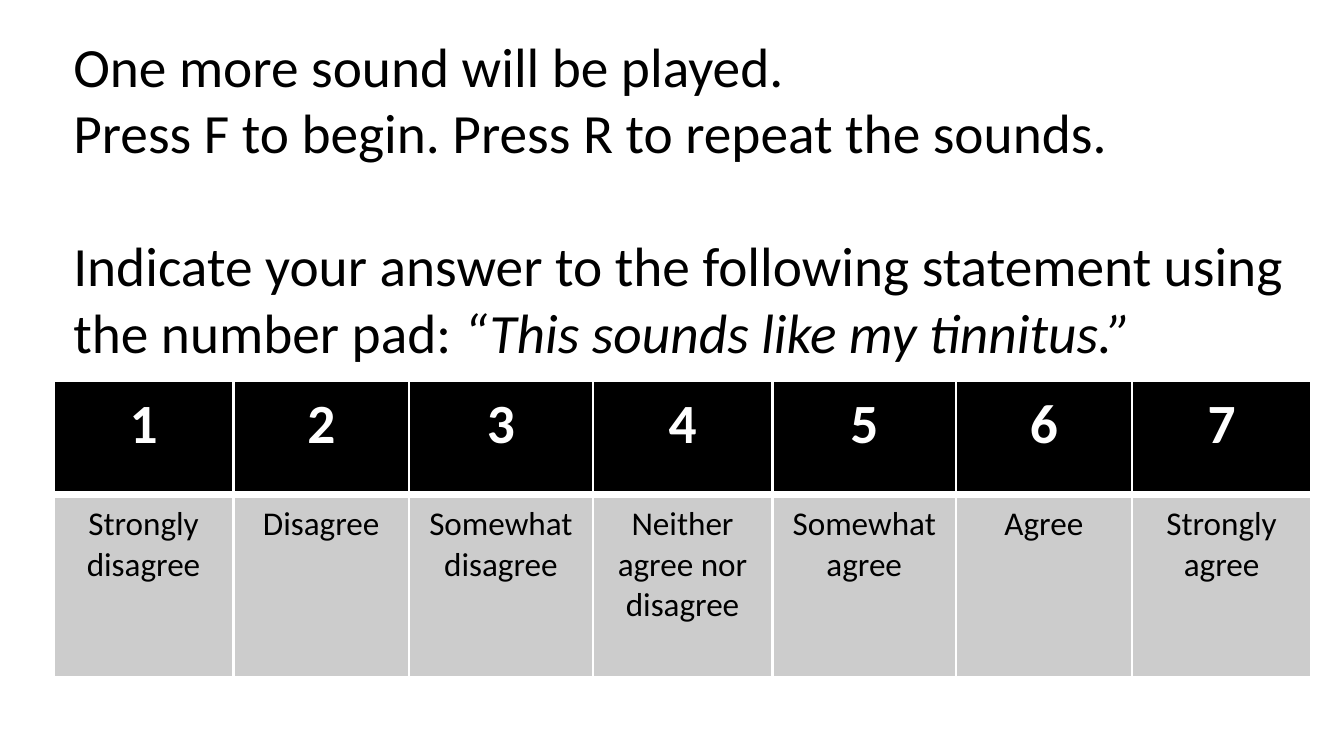
from dataclasses import dataclass

from lxml.etree import SubElement
from pptx import Presentation
from pptx.dml.color import RGBColor
from pptx.enum.text import PP_ALIGN
from pptx.oxml.ns import qn
from pptx.table import Table, _Cell
from pptx.util import Inches, Pt

WIDTH, HEIGHT = Inches(6.75), Inches(3.75)
LEFT, SPAN = 0.04, 0.936
FONT = "Calibri"
BLACK, WHITE, GREY = "000000", "FFFFFF", "CCCCCC"


@dataclass(frozen=True)
class Answer:
    label: str
    width: float


@dataclass(frozen=True)
class RowStyle:
    height: float
    fill: str
    ink: str
    size: int
    bold: bool
    top: int
    bottom: int


ANSWERS = [
    Answer("Strongly disagree", 0.9),
    Answer("Disagree", 0.88),
    Answer("Somewhat disagree", 0.92),
    Answer("Neither agree nor disagree", 0.9),
    Answer("Somewhat agree", 0.92),
    Answer("Agree", 0.88),
    Answer("Strongly agree", 0.9),
]
HEADER = RowStyle(0.152, BLACK, WHITE, 20, True, 1, 3)
BODY = RowStyle(0.245, GREY, BLACK, 12, False, 3, 1)


def colour(code: str) -> RGBColor:
    return RGBColor.from_string(code)


def style_font(para, size: int, ink: str, bold: bool = False) -> None:
    para.font.name = FONT
    para.font.size = Pt(size)
    para.font.bold = bold
    para.font.color.rgb = colour(ink)


def add_borders(cell: _Cell, style: RowStyle) -> None:
    properties = cell._tc.get_or_add_tcPr()
    for side, points in zip("LRTB", (1, 1, style.top, style.bottom)):
        line = SubElement(properties, qn(f"a:ln{side}"), w=str(Pt(points)))
        SubElement(SubElement(line, qn("a:solidFill")), qn("a:srgbClr"), val=WHITE)


def fill_row(table: Table, index: int, style: RowStyle, texts: list[str]) -> None:
    table.rows[index].height = int(HEIGHT * style.height)
    for cell, text in zip(table.rows[index].cells, texts):
        add_borders(cell, style)
        cell.fill.solid()
        cell.fill.fore_color.rgb = colour(style.fill)
        cell.text = text
        para = cell.text_frame.paragraphs[0]
        para.alignment = PP_ALIGN.CENTER
        style_font(para, style.size, style.ink, style.bold)


def add_instructions(page) -> None:
    box = page.shapes.add_textbox(
        int(WIDTH * LEFT), int(HEIGHT * 0.03), int(WIDTH * SPAN), int(HEIGHT * 0.475)
    )
    frame = box.text_frame
    frame.word_wrap = True
    frame.text = (
        "One more sound will be played.\n"
        "Press F to begin. Press R to repeat the sounds.\n"
        "Indicate your answer to the following statement using the number pad: "
    )
    for para in frame.paragraphs:
        style_font(para, 20, BLACK)
    question = frame.paragraphs[-1]
    question.space_before = Pt(24)
    statement = question.add_run()
    statement.text = "“This sounds like my tinnitus.”"
    statement.font.italic = True


def add_scale(page) -> None:
    table = page.shapes.add_table(
        2, len(ANSWERS), int(WIDTH * LEFT), int(HEIGHT * 0.51),
        int(WIDTH * SPAN), int(HEIGHT * (HEADER.height + BODY.height)),
    ).table
    total = sum(answer.width for answer in ANSWERS)
    for column, answer in zip(table.columns, ANSWERS):
        column.width = int(WIDTH * SPAN * answer.width / total)
    fill_row(table, 0, HEADER, [str(n) for n in range(1, len(ANSWERS) + 1)])
    fill_row(table, 1, BODY, [answer.label for answer in ANSWERS])


def main() -> None:
    deck = Presentation()
    deck.slide_width, deck.slide_height = WIDTH, HEIGHT
    page = deck.slides.add_slide(deck.slide_layouts[6])
    add_instructions(page)
    add_scale(page)
    deck.save("out.pptx")


if __name__ == "__main__":
    main()
